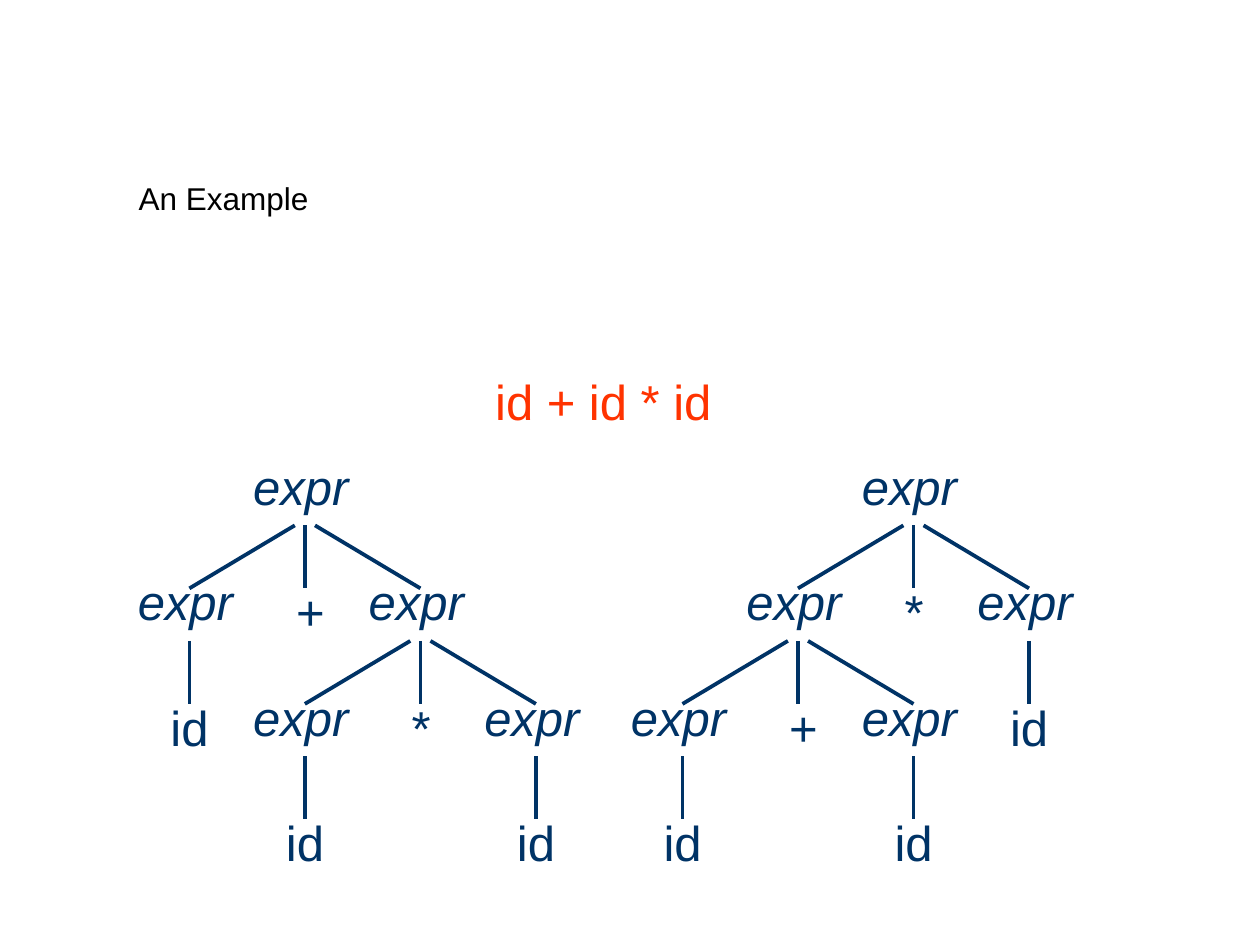
from lxml.etree import SubElement
from pptx import Presentation
from pptx.dml.color import RGBColor
from pptx.enum.shapes import MSO_CONNECTOR as Connector
from pptx.enum.text import MSO_ANCHOR as Anchor
from pptx.oxml.ns import qn
from pptx.util import Inches, Pt

COLORS = {"title": "000000", "tree": "003366", "sentence": "FF3300"}
TITLE = "An Example"
SENTENCE = "id + id * id"

LEAF = ("expr", [("id", [])])
PRODUCT = ("expr", [LEAF, ("*", []), LEAF])
SUM = ("expr", [LEAF, ("+", []), LEAF])
TREES = [
    (2.42, ("expr", [LEAF, ("+", []), PRODUCT])),
    (7.25, ("expr", [SUM, ("*", []), LEAF])),
]

LABEL_BOXES = {
    "expr": (0.42, 0, 0.79),
    "id": (0.16, 0.08, 0.33),
    "+": (0.08, 0.08, 0.26),
    "*": (0.08, 0.08, 0.18),
}
ROOT_TOP = 3.61
STEP = 11 / 12
BRANCH_TOP, BRANCH_HEIGHT, BRANCH_GAP = 0.56, 0.5, 0.08


def add_text(slide, text, left, top, width, height=0.5, *, size=28, color="tree", italic=False):
    shape = slide.shapes.add_textbox(Inches(left), Inches(top), Inches(width), Inches(height))
    frame = shape.text_frame
    frame.word_wrap = True
    frame.vertical_anchor = Anchor.TOP
    frame.margin_left = frame.margin_right = frame.margin_bottom = 0
    frame.margin_top = Inches(0.01)
    paragraph = frame.paragraphs[0]
    paragraph._p.get_or_add_pPr().set("marL", str(Inches(0.01)))
    run = paragraph.add_run()
    run.text = text
    run.font.name = "Arial"
    run.font.size = Pt(size)
    run.font.italic = italic
    run.font.color.rgb = RGBColor.from_string(COLORS[color])


def add_branch(slide, start_x, end_x, top):
    line = slide.shapes.add_connector(
        Connector.STRAIGHT, Inches(start_x), Inches(top), Inches(end_x), Inches(top + BRANCH_HEIGHT)
    )
    line.line.width = Pt(2.16)
    line.line.color.rgb = RGBColor.from_string(COLORS["tree"])
    SubElement(line._element.spPr, qn("a:effectLst"))


def add_tree(slide, node, x, top):
    label, children = node
    offset, drop, width = LABEL_BOXES[label]
    add_text(slide, label, x - offset, top + drop, width, italic=label == "expr")
    for index, child in enumerate(children):
        side = index - (len(children) - 1) / 2
        child_x = x + side * STEP
        add_branch(slide, x + side * BRANCH_GAP, child_x, top + BRANCH_TOP)
        add_tree(slide, child, child_x, top + STEP)


def main():
    presentation = Presentation()
    presentation.slide_width, presentation.slide_height = Inches(10), Inches(7.5)
    slide = presentation.slides.add_slide(presentation.slide_layouts[6])
    add_text(slide, TITLE, 1.09, 1.41, 2.89, 0.63, size=18, color="title")
    for root_x, tree in TREES:
        add_tree(slide, tree, root_x, ROOT_TOP)
    add_text(slide, SENTENCE, 3.92, 2.94, 1.75, color="sentence")
    presentation.save("out.pptx")


if __name__ == "__main__":
    main()
